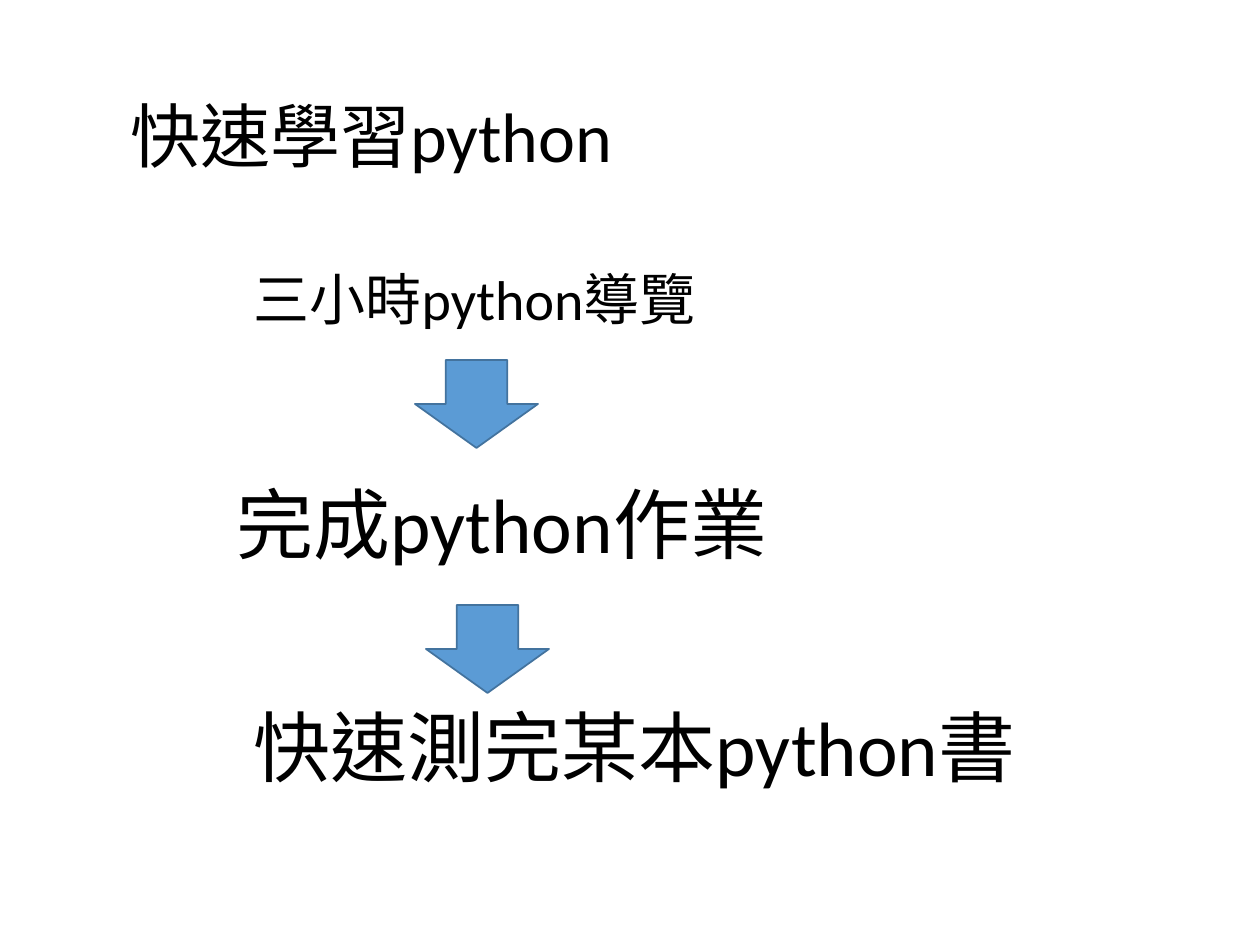
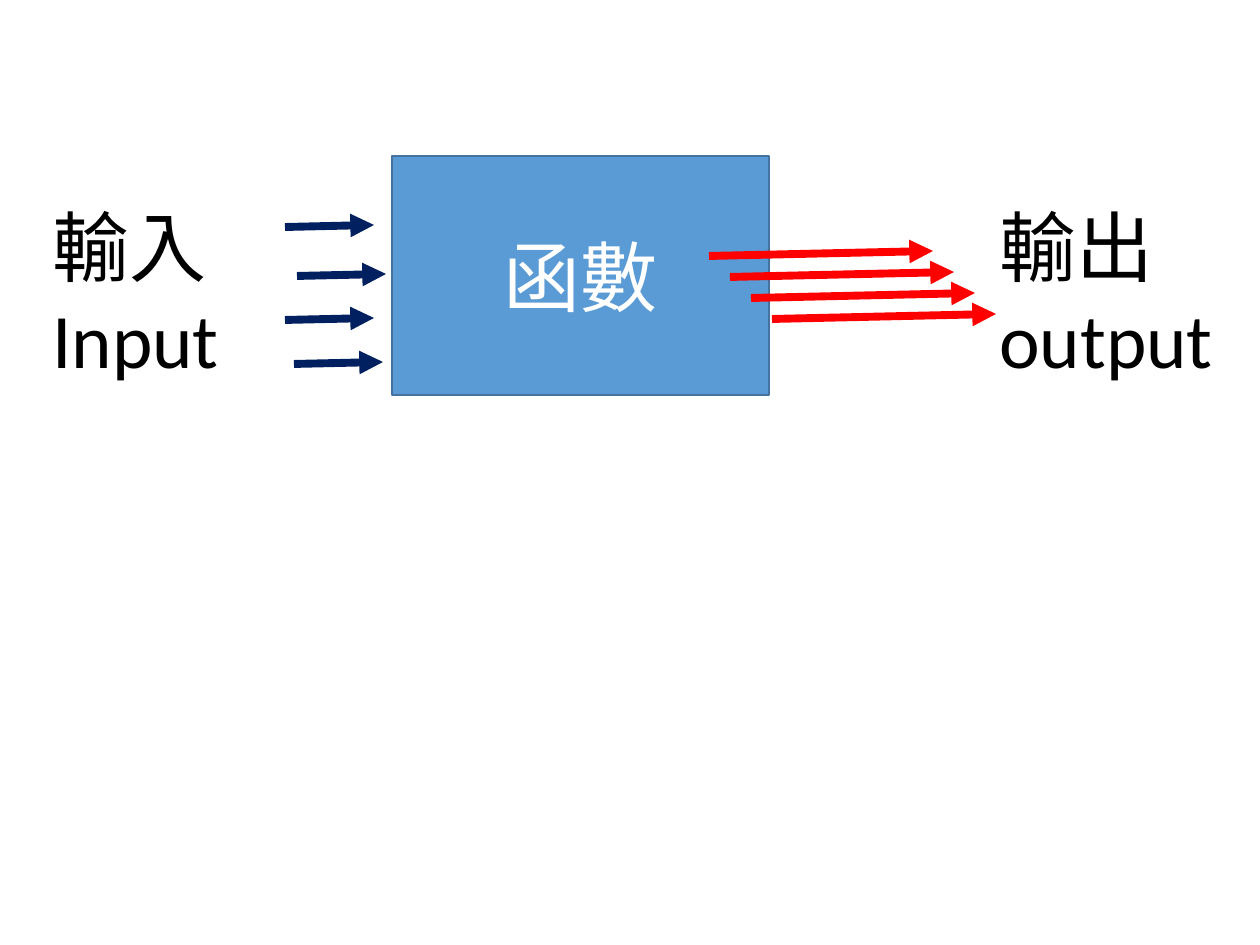
"""Build two slides: a Python learning path and a function's input and output."""
from lxml.etree import SubElement
from pptx import Presentation
from pptx.dml.color import RGBColor
from pptx.enum.lang import MSO_LANGUAGE_ID as LANGUAGE
from pptx.enum.shapes import MSO_CONNECTOR as CONNECTOR, MSO_SHAPE as SHAPE
from pptx.enum.text import MSO_ANCHOR as ANCHOR, MSO_AUTO_SIZE as AUTO_SIZE, PP_ALIGN as ALIGN
from pptx.oxml.ns import qn
from pptx.util import Emu, Pt

BLACK = RGBColor(0x00, 0x00, 0x00)
WHITE = RGBColor(0xFF, 0xFF, 0xFF)
BLUE = RGBColor(0x5B, 0x9B, 0xD5)
DARK_BLUE = RGBColor(0x43, 0x73, 0x9E)
NAVY = RGBColor(0x00, 0x20, 0x60)
RED = RGBColor(0xFF, 0x00, 0x00)
FONT = "Calibri"

TITLE = ("快速學習python", 40, (118, 86, 513, 97))
STEPS = [
    ("三小時python導覽", 32, (241, 258, 472, 81)),
    ("完成python作業", 44, (224, 470, 561, 106)),
    ("快速測完某本python書", 44, (241, 693, 795, 106)),
]
DOWN_ARROWS = [(415, 360, 123, 88), (426, 605, 123, 88)]

FUNCTION = ("函數", 44, (392, 156, 377, 239))
LABELS = [
    ("輸入\nInput", 44, (40, 193, 194, 199)),
    ("輸出\noutput", 44, (987, 193, 241, 199)),
]
INPUT_STARTS = [(285, 227), (297, 276), (285, 320), (294, 364)]
INPUT_REACH = (89, -2)
OUTPUT_STEP = 21
OUTPUT_STARTS = [(709 + i * OUTPUT_STEP, 256 + i * OUTPUT_STEP) for i in range(4)]
OUTPUT_REACH = (224, -5)


def px(*lengths):
    return [Emu(round(length * 914400 / 126)) for length in lengths]


def write(shape, text, size, color=BLACK, align=ALIGN.LEFT, anchor=ANCHOR.TOP):
    frame = shape.text_frame
    frame.text = text
    frame.word_wrap = True
    frame.vertical_anchor = anchor
    for paragraph in frame.paragraphs:
        paragraph.alignment = align
        for run in paragraph.runs:
            run.font.name = FONT
            run.font.size = Pt(size)
            run.font.color.rgb = color
            run.font.language_id = LANGUAGE.TRADITIONAL_CHINESE


def add_label(slide, text, size, box):
    shape = slide.shapes.add_textbox(*px(*box))
    write(shape, text, size)
    shape.text_frame.auto_size = AUTO_SIZE.SHAPE_TO_FIT_TEXT


def add_block(slide, kind, box):
    shape = slide.shapes.add_shape(kind, *px(*box))
    shape.shadow.inherit = False
    shape.fill.solid()
    shape.fill.fore_color.rgb = BLUE
    shape.line.color.rgb = DARK_BLUE
    shape.line.width = Pt(1)
    return shape


def add_arrow(slide, start, reach, color):
    (x, y), (across, down) = start, reach
    arrow = slide.shapes.add_connector(CONNECTOR.STRAIGHT, *px(x, y, x + across, y + down))
    arrow.line.color.rgb = color
    arrow.line.width = Pt(4.5)
    SubElement(arrow.line._get_or_add_ln(), qn("a:tailEnd"), type="triangle")
    SubElement(arrow._element.spPr, qn("a:effectLst"))


def build_learning_path(presentation):
    slide = presentation.slides.add_slide(presentation.slide_layouts[5])
    text, size, box = TITLE
    title = slide.shapes.title
    title.left, title.top, title.width, title.height = px(*box)
    write(title, text, size)
    title.text_frame.auto_size = AUTO_SIZE.NONE
    for step in STEPS:
        add_label(slide, *step)
    for box in DOWN_ARROWS:
        add_block(slide, SHAPE.DOWN_ARROW, box)


def build_function_diagram(presentation):
    slide = presentation.slides.add_slide(presentation.slide_layouts[6])
    text, size, box = FUNCTION
    function = add_block(slide, SHAPE.RECTANGLE, box)
    write(function, text, size, WHITE, ALIGN.CENTER, ANCHOR.MIDDLE)
    for start in INPUT_STARTS:
        add_arrow(slide, start, INPUT_REACH, NAVY)
    for start in OUTPUT_STARTS:
        add_arrow(slide, start, OUTPUT_REACH, RED)
    for label in LABELS:
        add_label(slide, *label)


def main():
    presentation = Presentation()
    presentation.slide_width, presentation.slide_height = px(1260, 945)
    build_learning_path(presentation)
    build_function_diagram(presentation)
    presentation.save("out.pptx")


if __name__ == "__main__":
    main()
